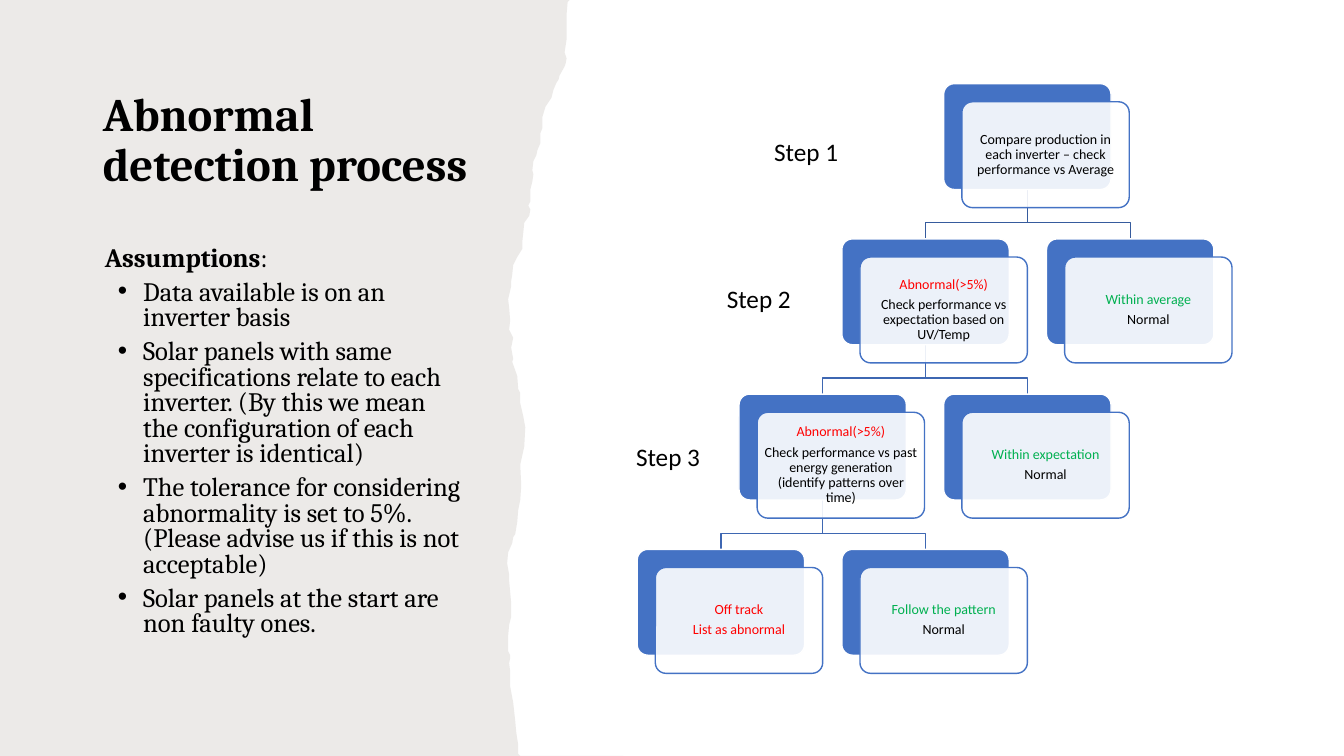
from lxml import etree
from pptx import Presentation
from pptx.dml.color import RGBColor
from pptx.enum.shapes import MSO_SHAPE
from pptx.enum.text import MSO_ANCHOR, MSO_AUTO_SIZE, PP_ALIGN
from pptx.oxml.ns import qn
from pptx.util import Pt

PX = 9144
ROUND = MSO_SHAPE.ROUNDED_RECTANGLE
TOP, MIDDLE = MSO_ANCHOR.TOP, MSO_ANCHOR.MIDDLE
LEFT, CENTER = PP_ALIGN.LEFT, PP_ALIGN.CENTER
NO_FIT = MSO_AUTO_SIZE.NONE

BLACK, WHITE, BLUE = "000000", "FFFFFF", "4472C4"
RED, GREEN, STONE = "FF0000", "00B050", "82766A"
SERIF, SANS = "Cambria", "Calibri"

CARD_W, CARD_H, CARD_SHIFT = 166, 105, 18
TREE_LEFT, TREE_TOP, COLUMN_PAIR, ROW_STEP = 632, 83, 203, 154

TORN_EDGE = [
    (0, 0), (565, 0), (563, 2), (562, 14), (562, 39), (560, 52), (562, 58),
    (561, 63), (560, 66), (555, 75), (554, 79), (552, 82), (549, 89),
    (547, 97), (541, 106), (538, 116), (538, 127), (536, 132), (536, 142),
    (533, 149), (532, 154), (529, 160), (528, 169), (529, 173), (528, 180),
    (526, 188), (526, 200), (524, 204), (526, 208), (525, 214), (520, 221),
    (519, 231), (518, 240), (518, 247), (513, 255), (509, 263), (508, 273),
    (507, 279), (507, 284), (504, 297), (505, 305), (506, 318), (505, 327),
    (509, 335), (507, 345), (509, 356), (508, 359), (513, 373), (514, 386),
    (516, 390), (516, 400), (519, 413), (521, 424), (520, 443), (516, 461),
    (517, 482), (516, 496), (514, 506), (513, 518), (511, 530), (509, 533),
    (508, 539), (504, 548), (503, 559), (505, 570), (505, 576), (507, 598),
    (507, 612), (505, 620), (504, 631), (504, 646), (506, 650), (506, 653),
    (505, 658), (506, 666), (506, 681), (509, 697), (511, 715), (512, 726),
    (513, 733), (514, 739), (514, 748), (516, 750), (618, 750), (0, 750),
]

ASSUMPTIONS = [
    "Data available is on an inverter basis",
    "Solar panels with same specifications relate to each inverter. "
    "(By this we mean the configuration of each inverter is identical)",
    "The tolerance for considering abnormality is set to 5%. "
    "(Please advise us if this is not acceptable)",
    "Solar panels at the start are non faulty ones.",
]

NODES = [
    (0, 3, [("Compare production in each inverter – check performance vs Average", BLACK)]),
    (1, 2, [("Abnormal(>5%)", RED),
            ("Check performance vs expectation based on UV/Temp", BLACK)]),
    (2, 1, [("Abnormal(>5%)", RED),
            ("Check performance vs past energy generation (identify patterns over time)", BLACK)]),
    (3, 0, [("Off track", RED), ("List as abnormal", RED)]),
    (3, 2, [("Follow the pattern", GREEN), ("Normal", BLACK)]),
    (2, 3, [("Within expectation", GREEN), ("Normal", BLACK)]),
    (1, 4, [("Within average", GREEN), ("Normal", BLACK)]),
]
BRANCHES = [(0, 3, "365B9D"), (1, 2, "3E67B2"), (2, 1, "3E67B2")]
STEPS = [(758, 130), (711, 276), (621, 433)]


def color(text):
    return RGBColor.from_string(text)


def node_at(row, col):
    return TREE_LEFT + COLUMN_PAIR * col // 2, TREE_TOP + ROW_STEP * row


class SlideBuilder:
    """Draws styled elements on one slide."""

    def __init__(self, slide):
        self.s = slide

    def place(self, sp, x, y, w, h):
        sp.left, sp.top, sp.width, sp.height = (v * PX for v in (x, y, w, h))

    def frame(self, sp, anchor=TOP, wrap=True):
        tf = sp.text_frame
        tf.auto_size, tf.word_wrap, tf.vertical_anchor = NO_FIT, wrap, anchor
        return tf

    def paragraph(self, tf, runs, size, font, align=LEFT, spacing=1.0, after=0):
        p = tf.paragraphs[0]
        if p.runs:
            p = tf.add_paragraph()
        p.alignment, p.line_spacing = align, spacing
        p.space_before, p.space_after = Pt(0), Pt(after)
        for text, ink, bold in runs:
            r = p.add_run()
            r.text = text
            r.font.size, r.font.name, r.font.bold = Pt(size), font, bold
            r.font.color.rgb = color(ink)
        return p

    def bullet(self, p, margin, indent, char=None):
        pPr = p._p.get_or_add_pPr()
        pPr.set("marL", str(margin * PX))
        pPr.set("indent", str(indent * PX))
        if char:
            etree.SubElement(pPr, qn("a:buFont")).set("typeface", "Arial")
            etree.SubElement(pPr, qn("a:buChar")).set("char", char)
        else:
            etree.SubElement(pPr, qn("a:buNone"))

    def paint(self, sp, fill=None, line=None, alpha=100):
        sp.shadow.inherit = False
        if fill:
            sp.fill.solid()
            sp.fill.fore_color.rgb = color(fill)
            ink = sp._element.spPr.find(qn("a:solidFill"))[0]
            etree.SubElement(ink, qn("a:alpha")).set("val", str(alpha * 1000))
        else:
            sp.fill.background()
        if line:
            sp.line.color.rgb = color(line)
            sp.line.width = Pt(1)
        else:
            sp.line.fill.background()

    def outline(self, points, close, **style):
        builder = self.s.shapes.build_freeform(*points[0], scale=PX)
        builder.add_line_segments(points[1:], close=close)
        sp = builder.convert_to_shape()
        self.paint(sp, **style)
        return sp

    def backdrop(self, points):
        sp = self.outline(points, True, fill=STONE, alpha=15)
        self.s.shapes._spTree.insert(2, sp._element)

    def title(self, text):
        sp = self.s.shapes.title
        self.place(sp, 92, 67, 409, 146)
        self.paragraph(self.frame(sp, MIDDLE), [(text, BLACK, True)], 33.3, SERIF, spacing=0.9)

    def assumptions(self, heading, items):
        sp = self.s.placeholders[1]
        self.place(sp, 94, 240, 375, 427)
        tf = self.frame(sp)
        runs = [(heading, BLACK, True), (":", BLACK, False)]
        p = self.paragraph(tf, runs, 19, SERIF, spacing=0.8, after=6)
        self.bullet(p, 0, 0)
        for item in items:
            p = self.paragraph(tf, [(item, BLACK, False)], 19, SERIF, spacing=0.8, after=6)
            self.bullet(p, 38, -25, "•")

    def branch(self, row, col, ink):
        x, y = node_at(row, col)
        x, y = x + CARD_W // 2, y + CARD_H
        for child in (col + 1, col - 1):
            left, end = node_at(row + 1, child)
            turn = left + CARD_W // 2
            self.outline([(x, y), (x, y + 33), (turn, y + 33), (turn, end)], False, line=ink)

    def card(self, x, y, **style):
        sp = self.s.shapes.add_shape(ROUND, *(v * PX for v in (x, y, CARD_W, CARD_H)))
        sp.adjustments[0] = 0.1
        self.paint(sp, **style)
        return sp

    def node(self, row, col, lines):
        x, y = node_at(row, col)
        self.card(x, y, fill=BLUE, line=WHITE)
        sp = self.card(x + CARD_SHIFT, y + CARD_SHIFT, fill=WHITE, line=BLUE, alpha=90)
        tf = self.frame(sp, MIDDLE)
        tf.margin_left = tf.margin_right = tf.margin_top = tf.margin_bottom = 4 * PX
        for text, ink in lines:
            self.paragraph(tf, [(text, ink, False)], 10, SANS, CENTER, 0.9, 3.5)

    def step(self, number, x, y):
        sp = self.s.shapes.add_textbox(x * PX, y * PX, 95 * PX, 40 * PX)
        self.paragraph(self.frame(sp, wrap=False), [(f"Step {number}", BLACK, False)], 18, SANS)


def main():
    prs = Presentation()
    prs.slide_width, prs.slide_height = 1333 * PX, 750 * PX
    b = SlideBuilder(prs.slides.add_slide(prs.slide_layouts[1]))
    b.backdrop(TORN_EDGE)
    b.title("Abnormal detection process")
    b.assumptions("Assumptions", ASSUMPTIONS)
    for branch in BRANCHES:
        b.branch(*branch)
    for node in NODES:
        b.node(*node)
    for number, spot in enumerate(STEPS, 1):
        b.step(number, *spot)
    prs.save("out.pptx")


if __name__ == "__main__":
    main()
